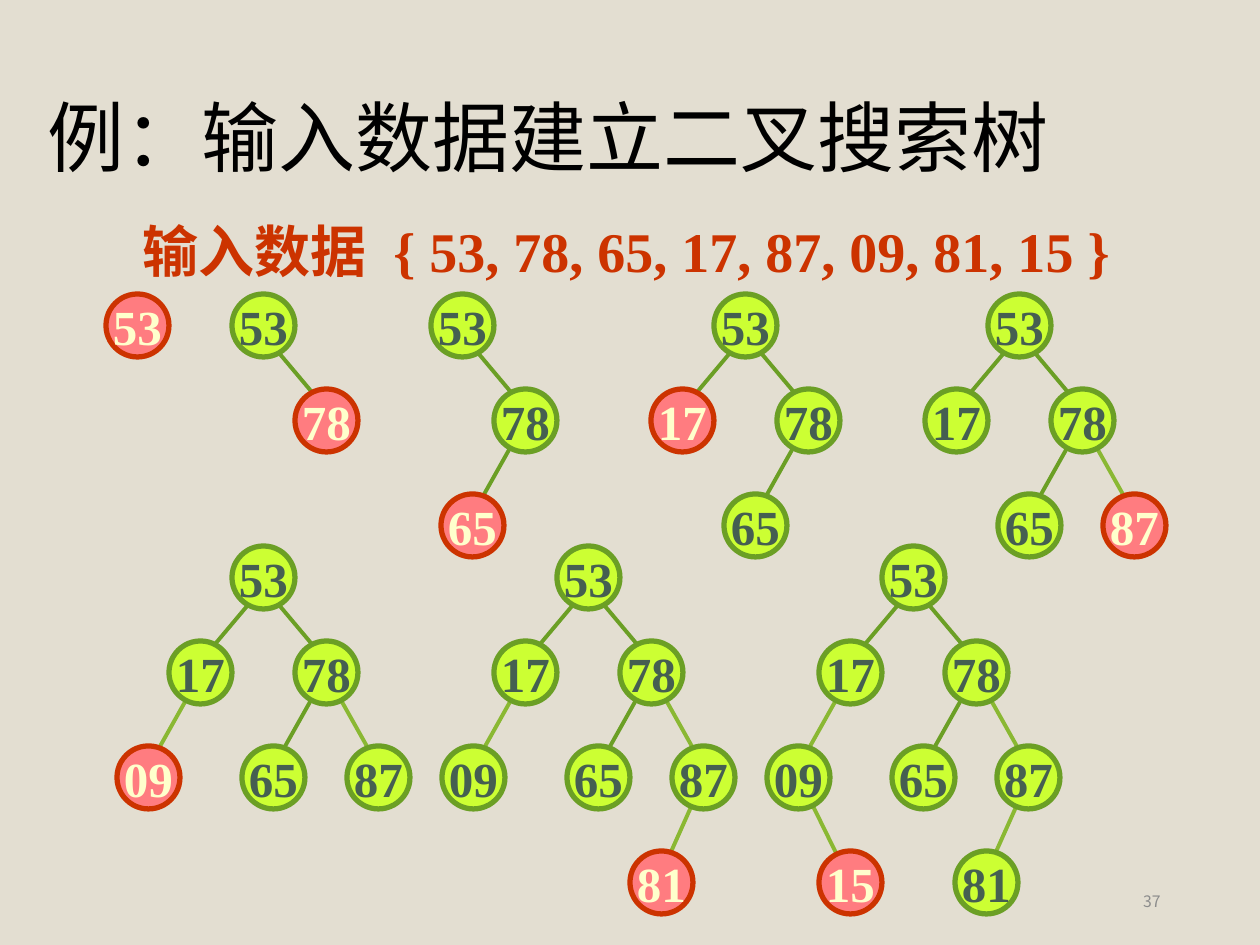
import pptx
import pptx.util
import pptx.dml.color
import pptx.enum.shapes
import pptx.enum.text
import pptx.oxml.ns
import lxml.etree

# Content
TITLE = "例：输入数据建立二叉搜索树"
KEYS = ["53", "78", "65", "17", "87", "09", "81", "15"]
INPUT_LABEL, INPUT_SET = "输入数据", "{ " + ", ".join(KEYS) + " }"
PAGE = "37"

# Top-left of each tree's root in px; tree n holds the first n keys
ROOTS = [(106, 294), (232, 294), (431, 294), (714, 294), (988, 294),
         (232, 546), (557, 546), (882, 546)]
# Offset of each key from the root, in px
NODES = {"53": (0, 0), "78": (63, 95), "65": (10, 200), "17": (-63, 95),
         "87": (115, 200), "09": (-115, 200), "81": (73, 305), "15": (-63, 305)}
# Line down to each key: start x, y, end x, y from the root, and colour
EDGES = {"78": (42, 53, 95, 116, "edge"), "65": (83, 147, 42, 220, "edge"),
         "17": (21, 53, -32, 116, "edge"), "87": (105, 147, 146, 220, "light"),
         "09": (-42, 147, -83, 220, "light"), "81": (147, 232, 105, 326, "light"),
         "15": (-73, 252, -42, 315, "light")}
NODE = 63

THEME = {
    "bg": "E3DED1", "title": "000000", "accent": "CC3300", "page": "8C8C8C",
    "edge": "6B9F25", "light": "8AB833",
    "old": {"fill": "CCFF33", "line": "6B9F25", "text": "455F51"},
    "new": {"fill": "FF7C80", "line": "CC3300", "text": "FFFFCC"},
    "latin": "Times New Roman", "cjk": "Noto Sans CJK SC",
    "title_pt": 44, "input_pt": 32, "node_pt": 28, "page_pt": 9,
    "node_line": 3, "edge_line": 2.25,
}
ALIGN = pptx.enum.text.PP_ALIGN
ANCHOR = pptx.enum.text.MSO_ANCHOR


def px(n):
    return pptx.util.Emu(n * 914400 // 126)


def rgb(value):
    return pptx.dml.color.RGBColor.from_string(value)


def add_run(p, text, font, size, color, bold=False):
    r = p.add_run()
    r.text = text
    fmt = {"name": font, "size": pptx.util.Pt(size), "bold": bold}
    for name, value in fmt.items():
        setattr(r.font, name, value)
    r.font.color.rgb = rgb(color)
    ea = lxml.etree.SubElement(r.font._element, pptx.oxml.ns.qn("a:ea"))
    ea.set("typeface", THEME["cjk"])
    return r


def add_box(s, left, top, width, height, anchor, align=ALIGN.LEFT):
    tf = s.shapes.add_textbox(px(left), px(top), px(width), px(height)).text_frame
    tf.word_wrap = True
    tf.vertical_anchor = anchor
    p = tf.paragraphs[0]
    p.alignment = align
    return p


def add_edge(s, x, y, key):
    x1, y1, x2, y2, color = EDGES[key]
    line = s.shapes.add_connector(pptx.enum.shapes.MSO_CONNECTOR.STRAIGHT,
                                  px(x + x1), px(y + y1), px(x + x2), px(y + y2))
    line.line.color.rgb = rgb(THEME[color])
    line.line.width = pptx.util.Pt(THEME["edge_line"])
    lxml.etree.SubElement(line._element.spPr, pptx.oxml.ns.qn("a:effectLst"))


def add_node(s, x, y, key, style):
    dx, dy = NODES[key]
    sp = s.shapes.add_shape(pptx.enum.shapes.MSO_SHAPE.OVAL,
                            px(x + dx), px(y + dy), px(NODE), px(NODE))
    sp.shadow.inherit = False
    sp.fill.solid()
    sp.fill.fore_color.rgb = rgb(style["fill"])
    sp.line.color.rgb = rgb(style["line"])
    sp.line.width = pptx.util.Pt(THEME["node_line"])
    tf = sp.text_frame
    tf.word_wrap = False
    tf.vertical_anchor = ANCHOR.MIDDLE
    p = tf.paragraphs[0]
    p.alignment = ALIGN.CENTER
    add_run(p, key, THEME["latin"], THEME["node_pt"], style["text"], True)


def main():
    prs = pptx.Presentation()
    prs.slide_width, prs.slide_height = px(1260), px(945)
    s = prs.slides.add_slide(prs.slide_layouts[6])
    s.background.fill.solid()
    s.background.fill.fore_color.rgb = rgb(THEME["bg"])

    # Input data, with a widened gap before the brace
    p = add_box(s, 130, 210, 1008, 80, ANCHOR.TOP)
    for text in (INPUT_LABEL, " ", INPUT_SET):
        r = add_run(p, text, THEME["latin"], THEME["input_pt"], THEME["accent"], True)
        if text == " ":
            r.font._element.set("spc", "800")

    # Trees: lines behind nodes, newest key highlighted
    for count, (x, y) in enumerate(ROOTS, 1):
        keys = KEYS[:count]
        for key in keys[1:]:
            add_edge(s, x, y, key)
        for key in keys:
            add_node(s, x, y, key, THEME["new" if key == keys[-1] else "old"])

    # Title and page number
    p = add_box(s, 35, 50, 1201, 183, ANCHOR.MIDDLE)
    p.line_spacing = 0.9
    add_run(p, TITLE, THEME["cjk"], THEME["title_pt"], THEME["title"])
    p = add_box(s, 890, 876, 283, 50, ANCHOR.MIDDLE, ALIGN.RIGHT)
    add_run(p, PAGE, THEME["cjk"], THEME["page_pt"], THEME["page"])

    prs.save("out.pptx")


if __name__ == "__main__":
    main()
